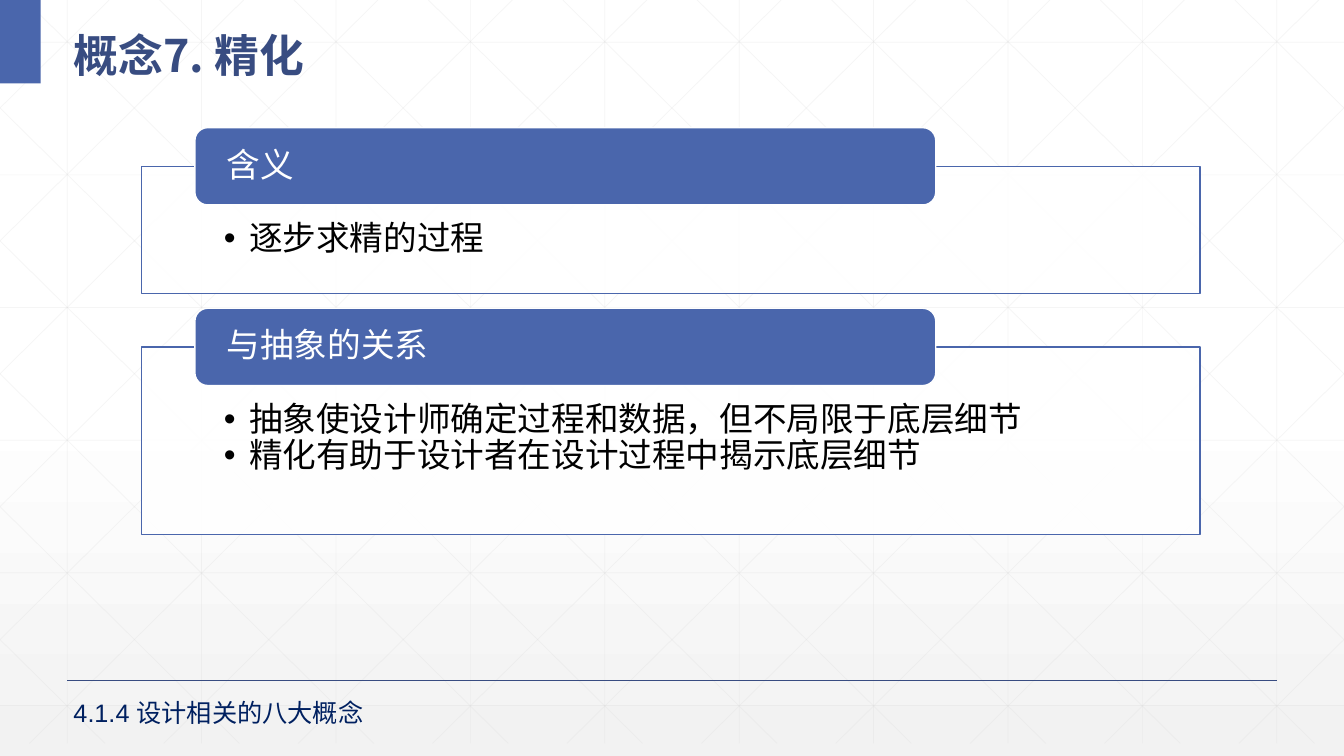
import lxml.etree
import pptx
import pptx.dml.color
import pptx.enum.dml
import pptx.enum.shapes
import pptx.enum.text
import pptx.oxml.ns
import pptx.util

Pt = pptx.util.Pt
RGBColor = pptx.dml.color.RGBColor
MSO_SHAPE = pptx.enum.shapes.MSO_SHAPE
MSO_ANCHOR = pptx.enum.text.MSO_ANCHOR
PP_ALIGN = pptx.enum.text.PP_ALIGN
qn = pptx.oxml.ns.qn

WHITE = RGBColor(0xFF, 0xFF, 0xFF)
BLACK = RGBColor(0x00, 0x00, 0x00)
PALE_GRAY = RGBColor(0xF2, 0xF2, 0xF2)
GRID_GRAY = RGBColor(0xD9, 0xD9, 0xD9)
BLUE = RGBColor(0x4A, 0x66, 0xAC)
DARK_BLUE = RGBColor(0x38, 0x4C, 0x81)
NAVY = RGBColor(0x00, 0x20, 0x60)
CJK_FONT = "Noto Sans CJK SC"

SLIDE_WIDTH = 960
GRID_BOTTOM = 531
GRID_STEP = 96
DIAGONAL_RUN = 537

presentation = pptx.Presentation()
presentation.slide_width = Pt(SLIDE_WIDTH)
presentation.slide_height = Pt(540)
slide = presentation.slides.add_slide(presentation.slide_layouts[5])


def add_line(x1, y1, x2, y2, color=GRID_GRAY, width=0.5, opacity=25):
    line = slide.shapes.add_connector(
        pptx.enum.shapes.MSO_CONNECTOR.STRAIGHT, Pt(x1), Pt(y1), Pt(x2), Pt(y2))
    line.line.color.rgb = color
    line.line.width = Pt(width)
    properties = line.element.spPr
    color_element = properties.find(".//" + qn("a:srgbClr"))
    lxml.etree.SubElement(color_element, qn("a:alpha"), val=str(opacity * 1000))
    lxml.etree.SubElement(properties, qn("a:effectLst"))


def add_run(paragraph, text, size, color, font_name="Arial", bold=False):
    run = paragraph.add_run()
    run.text = text
    run.font.size = Pt(size)
    run.font.name = font_name
    run.font.bold = bold
    run.font.color.rgb = color
    latin = run.font._element.find(qn("a:latin"))
    latin.addnext(latin.makeelement(qn("a:ea"), {"typeface": CJK_FONT}))


# Background
background = slide.background.fill
background.gradient()
background.gradient_angle = 270
for stop, position, color in zip(background.gradient_stops, (0.53, 1), (WHITE, PALE_GRAY)):
    stop.position = position
    stop.color.rgb = color

# Faint grid with diagonals in both directions
for column in range(10):
    x = 48 + GRID_STEP * column
    add_line(x, 0, x, GRID_BOTTOM)
for row in range(6):
    y = 30.2 + 94.75 * row
    add_line(0, y, SLIDE_WIDTH, y)
slope = GRID_BOTTOM / DIAGONAL_RUN
for start in range(-462, SLIDE_WIDTH, GRID_STEP):
    left = max(start, 0)
    right = min(start + DIAGONAL_RUN, SLIDE_WIDTH)
    top = (left - start) * slope
    bottom = (right - start) * slope
    add_line(left, top, right, bottom)
    add_line(SLIDE_WIDTH - left, top, SLIDE_WIDTH - right, bottom)

# Footer rule and corner block
add_line(48, 486, 912, 486, DARK_BLUE, 1, 100)
corner = slide.shapes.add_shape(MSO_SHAPE.RECTANGLE, 0, 0, Pt(29), Pt(59.5))
corner.shadow.inherit = False
corner.fill.solid()
corner.fill.fore_color.rgb = BLUE
corner.line.fill.background()

# Title
title = slide.shapes.title
title.element.getparent().append(title.element)
title.left, title.top, title.width, title.height = Pt(45.4), Pt(7.2), Pt(894), Pt(52.6)
title.text_frame.auto_size = pptx.enum.text.MSO_AUTO_SIZE.NONE
title.text_frame.vertical_anchor = MSO_ANCHOR.MIDDLE
paragraph = title.text_frame.paragraphs[0]
paragraph.alignment = PP_ALIGN.LEFT
paragraph.line_spacing = 1.3
add_run(paragraph, "概念7. 精化", 32, DARK_BLUE, CJK_FONT, True)

# Cards: heading, bullets, top and height of the frame
cards = [
    ("含义", ["逐步求精的过程"], 118.8, 90.7),
    ("与抽象的关系",
     ["抽象使设计师确定过程和数据，但不局限于底层细节",
      "精化有助于设计者在设计过程中揭示底层细节"], 247.8, 133.9),
]
for heading, bullets, top, height in cards:
    frame = slide.shapes.add_shape(
        MSO_SHAPE.RECTANGLE, Pt(101.3), Pt(top), Pt(756), Pt(height))
    tab = slide.shapes.add_shape(
        MSO_SHAPE.ROUNDED_RECTANGLE, Pt(139.2), Pt(top - 27.6), Pt(529.2), Pt(55.2))
    parts = [
        (frame, WHITE, BLUE, (58.6, 39.6, 13.7), MSO_ANCHOR.TOP, bullets, BLACK),
        (tab, BLUE, WHITE, (20, 0, 0), MSO_ANCHOR.MIDDLE, [heading], WHITE),
    ]
    for shape, fill, outline, insets, anchor, texts, text_color in parts:
        shape.shadow.inherit = False
        shape.fill.solid()
        shape.fill.fore_color.rgb = fill
        shape.line.color.rgb = outline
        shape.line.width = Pt(1)
        text_frame = shape.text_frame
        text_frame.word_wrap = True
        text_frame.vertical_anchor = anchor
        side, inset_top, inset_bottom = insets
        text_frame.margin_left = text_frame.margin_right = Pt(side)
        text_frame.margin_top = Pt(inset_top)
        text_frame.margin_bottom = Pt(inset_bottom)
        for index, text in enumerate(texts):
            paragraph = text_frame.paragraphs[0] if index == 0 else text_frame.add_paragraph()
            paragraph.alignment = PP_ALIGN.LEFT
            paragraph.line_spacing = 0.9
            if shape is frame:
                properties = paragraph._p.get_or_add_pPr()
                properties.set("marL", str(Pt(18)))
                properties.set("indent", str(-Pt(18)))
                lxml.etree.SubElement(properties, qn("a:buFont"), typeface="Arial")
                lxml.etree.SubElement(properties, qn("a:buChar"), char="•")
            add_run(paragraph, text, 24, text_color)
    frame_color = frame.element.spPr.find(qn("a:solidFill")).find(qn("a:srgbClr"))
    lxml.etree.SubElement(frame_color, qn("a:alpha"), val="90000")

# Section label
label = slide.shapes.add_textbox(Pt(45.4), Pt(494.6), Pt(272.2), Pt(29))
label.text_frame.word_wrap = True
label.text_frame.auto_size = pptx.enum.text.MSO_AUTO_SIZE.SHAPE_TO_FIT_TEXT
add_run(label.text_frame.paragraphs[0], "4.1.4 设计相关的八大概念", 18, NAVY)

presentation.save("out.pptx")
